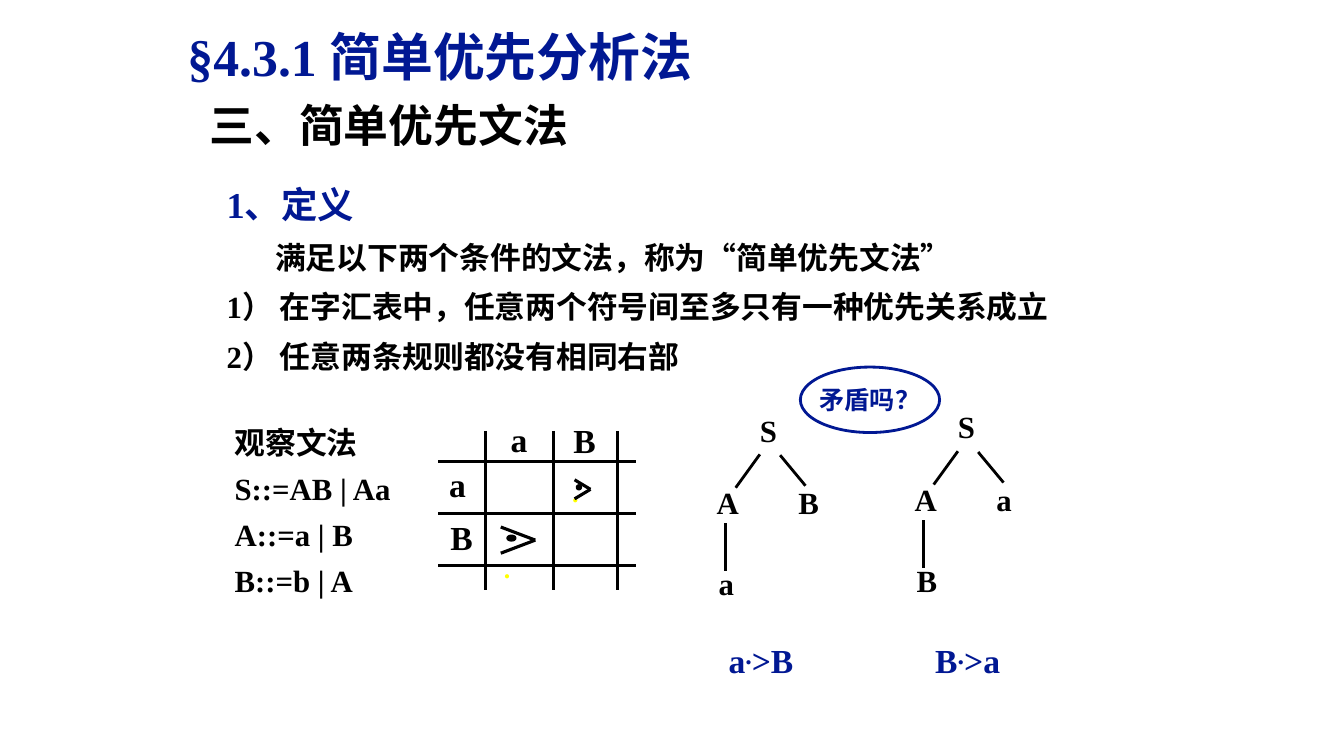
from dataclasses import dataclass

from lxml.etree import SubElement
from pptx import Presentation
from pptx.dml.color import RGBColor
from pptx.enum.shapes import MSO_CONNECTOR, MSO_SHAPE
from pptx.enum.text import MSO_ANCHOR, MSO_AUTO_SIZE, PP_ALIGN
from pptx.oxml.ns import qn
from pptx.util import Cm, Pt


@dataclass(frozen=True)
class Theme:
    font: str = "Times New Roman"
    navy: RGBColor = RGBColor(0x01, 0x18, 0x93)
    black: RGBColor = RGBColor(0, 0, 0)
    yellow: RGBColor = RGBColor(0xFF, 0xFF, 0)
    title: float = 37
    heading: float = 32
    subheading: float = 26
    label: float = 24
    body: float = 22
    callout: float = 18
    line: float = 2
    mark_line: float = 2.25


THEME = Theme()


@dataclass(frozen=True)
class Box:
    left: float
    top: float
    width: float
    height: float


@dataclass(frozen=True)
class Line:
    text: str
    size: float = THEME.body
    color: RGBColor = THEME.black
    indent: float = 0


@dataclass(frozen=True)
class SyntaxTree:
    left: float
    top: float
    right_child: str
    leaf: str
    relation: tuple[str, str]
    relation_left: float


@dataclass(frozen=True)
class PrecedenceMark:
    arrow: Box
    dot: Box


TREES = (
    SyntaxTree(18.9, 10.24, "B", "a", ("a", ">B"), 18.11),
    SyntaxTree(23.89, 10.16, "a", "B", ("B", ">a"), 23.32),
)
TREE_EDGES = (
    (0.25, 1.21, -0.36, 2.05),
    (0.76, 1.23, 1.4, 2),
    (-0.61, 2.95, -0.61, 4.16),
)
MATRIX_LABELS = (
    ("a", 11.07, 11.56),
    ("B", 11.1, 12.9),
    ("a", 12.62, 10.44),
    ("B", 14.2, 10.46),
)
MARKS = (
    PrecedenceMark(Box(14.48, 12.09, 0.4, 0.48), Box(14.55, 12.24, 0.08, 0.08)),
    PrecedenceMark(Box(12.62, 13.28, 0.87, 0.66), Box(12.8, 13.51, 0.18, 0.1)),
)
STRAY_DOTS = (Box(14.17, 11.63, 2.21, 1.63), Box(12.45, 13.54, 0.71, 1.63))
DEFINITION = (
    Line("1、定义", THEME.subheading, THEME.navy),
    Line("满足以下两个条件的文法，称为“简单优先文法”", indent=1.22),
    Line("1） 在字汇表中，任意两个符号间至多只有一种优先关系成立"),
    Line("2） 任意两条规则都没有相同右部"),
)
GRAMMAR = tuple(map(Line, ("观察文法", "S::=AB | Aa", "A::=a | B", "B::=b | A")))


def style_font(font, color: RGBColor, size: float | None = None) -> None:
    font.name = THEME.font
    font.bold = True
    font.color.rgb = color
    if size:
        font.size = Pt(size)


def place(shape, box: Box) -> None:
    shape.left, shape.top = Cm(box.left), Cm(box.top)
    shape.width, shape.height = Cm(box.width), Cm(box.height)


def fill_placeholder(shape, box: Box, lines: tuple[Line, ...], spacing: float,
                     alignment: PP_ALIGN, auto_size: MSO_AUTO_SIZE) -> None:
    place(shape, box)
    frame = shape.text_frame
    frame.word_wrap = True
    frame.auto_size = auto_size
    frame.vertical_anchor = MSO_ANCHOR.TOP
    frame.text = "\n".join(line.text for line in lines)
    for paragraph, line in zip(frame.paragraphs, lines):
        properties = paragraph._p.get_or_add_pPr()
        properties.set("marL", "0")
        properties.set("indent", str(Cm(line.indent)))
        SubElement(properties, qn("a:buNone"))
        paragraph.alignment = alignment
        paragraph.line_spacing = spacing
        paragraph.space_before = Pt(0)
        style_font(paragraph.font, line.color, line.size)


def add_text(slide, box: Box, line: Line, wrap: bool = True):
    shape = slide.shapes.add_textbox(Cm(0), Cm(0), Cm(1), Cm(1))
    place(shape, box)
    frame = shape.text_frame
    frame.word_wrap = wrap
    frame.auto_size = MSO_AUTO_SIZE.SHAPE_TO_FIT_TEXT
    paragraph = frame.paragraphs[0]
    paragraph.text = line.text
    style_font(paragraph.font, line.color, line.size)
    return paragraph


def raise_run(run) -> None:
    run.font.size = Pt(THEME.heading)
    run._r.get_or_add_rPr().set("baseline", "20000")


def add_line(shapes, start_x: float, start_y: float, end_x: float, end_y: float,
             width: float = THEME.line) -> None:
    connector = shapes.add_connector(MSO_CONNECTOR.STRAIGHT, Cm(start_x), Cm(start_y),
                                     Cm(end_x), Cm(end_y))
    connector.line.color.rgb = THEME.black
    connector.line.width = Pt(width)
    SubElement(connector._element.spPr, qn("a:effectLst"))


def add_ellipse(shapes, box: Box, color: RGBColor, width: float):
    ellipse = shapes.add_shape(MSO_SHAPE.OVAL, Cm(0), Cm(0), Cm(1), Cm(1))
    place(ellipse, box)
    ellipse.shadow.inherit = False
    ellipse.line.color.rgb = color
    ellipse.line.width = Pt(width)
    return ellipse


def add_tree(slide, tree: SyntaxTree) -> None:
    nodes = (("S", 0, 0), ("A", -1.09, 1.83),
             (tree.right_child, 0.97, 1.83), (tree.leaf, -1.04, 3.87))
    for text, x, y in nodes:
        add_text(slide, Box(tree.left + x, tree.top + y, 1.12, 1.19), Line(text))
    for start_x, start_y, end_x, end_y in TREE_EDGES:
        add_line(slide.shapes, tree.left + start_x, tree.top + start_y,
                 tree.left + end_x, tree.top + end_y)
    first, last = tree.relation
    paragraph = add_text(slide, Box(tree.relation_left, 15.72, 2.21, 1.27),
                         Line(first, THEME.label, THEME.navy))
    raised = paragraph.add_run()
    raised.text = "."
    raise_run(raised)
    paragraph.add_run().text = last


def add_matrix(slide) -> None:
    for row in range(3):
        y = 11.63 + 1.31 * row
        add_line(slide.shapes, 11.05, y, 16.03, y)
    for x in (12.24, 13.94, 15.57):
        add_line(slide.shapes, x, 10.86, x, 14.87)
    for box in STRAY_DOTS:
        paragraph = add_text(slide, box, Line(".", THEME.heading, THEME.yellow))
        raise_run(paragraph.runs[0])
    for text, left, top in MATRIX_LABELS:
        add_text(slide, Box(left, top, 1.12, 1.27), Line(text, THEME.label))
    for mark in MARKS:
        group = slide.shapes.add_group_shape()
        arrow = mark.arrow
        tip_x, tip_y = arrow.left + arrow.width, arrow.top + arrow.height / 2
        for y in (arrow.top, arrow.top + arrow.height):
            add_line(group.shapes, arrow.left, y, tip_x, tip_y, THEME.mark_line)
        dot = add_ellipse(group.shapes, mark.dot, THEME.black, THEME.mark_line)
        dot.fill.solid()
        dot.fill.fore_color.rgb = THEME.black


def add_callout(slide) -> None:
    callout = add_ellipse(slide.shapes, Box(20.17, 9.25, 3.51, 1.65), THEME.navy, THEME.line)
    callout.fill.background()
    frame = callout.text_frame
    frame.word_wrap = False
    frame.vertical_anchor = MSO_ANCHOR.MIDDLE
    paragraph = frame.paragraphs[0]
    paragraph.text = "矛盾吗？"
    paragraph.alignment = PP_ALIGN.CENTER
    style_font(paragraph.font, THEME.navy, THEME.callout)


def main() -> None:
    presentation = Presentation()
    presentation.slide_width, presentation.slide_height = Cm(33.87), Cm(19.05)
    slide = presentation.slides.add_slide(presentation.slide_layouts[3])
    title, definition, grammar = slide.placeholders
    fill_placeholder(title, Box(4.47, 0.18, 24.56, 2.18),
                     (Line("§4.3.1 简单优先分析法", THEME.title, THEME.navy),),
                     1.2, PP_ALIGN.LEFT, MSO_AUTO_SIZE.NONE)
    fill_placeholder(definition, Box(5.46, 4.09, 23.62, 5.49), DEFINITION,
                     1.34, PP_ALIGN.JUSTIFY, MSO_AUTO_SIZE.SHAPE_TO_FIT_TEXT)
    fill_placeholder(grammar, Box(5.66, 10.31, 5.11, 4.9), GRAMMAR,
                     1.25, PP_ALIGN.JUSTIFY, MSO_AUTO_SIZE.SHAPE_TO_FIT_TEXT)
    heading = add_text(slide, Box(5.03, 1.65, 9.58, 2.29),
                       Line("三、简单优先文法", THEME.heading), wrap=False)
    heading.line_spacing = 1.5
    for tree in TREES:
        add_tree(slide, tree)
    add_callout(slide)
    add_matrix(slide)
    presentation.save("out.pptx")


if __name__ == "__main__":
    main()
